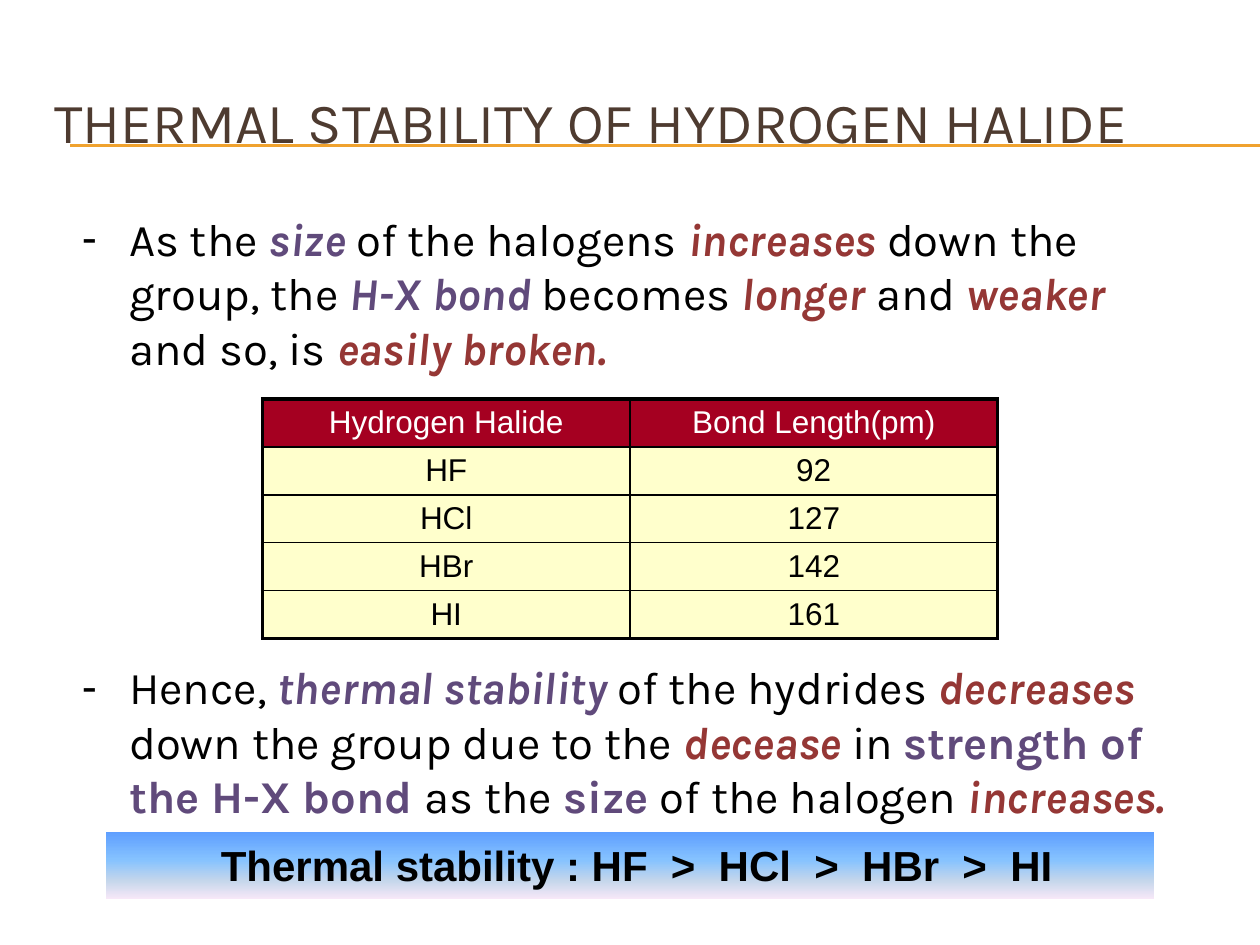
"""Build a slide on the thermal stability of the hydrogen halides."""
from lxml.etree import SubElement
from pptx import Presentation
from pptx.dml.color import RGBColor
from pptx.enum.shapes import MSO_CONNECTOR
from pptx.enum.text import MSO_ANCHOR, MSO_AUTO_SIZE, PP_ALIGN
from pptx.oxml import parse_xml
from pptx.oxml.ns import nsdecls, qn
from pptx.util import Pt

COLORS = {
    "title": "4E3B30", "rule": "F0A22E", "text": "000000", "light": "FFFFFF",
    "topic": "604A7B", "change": "953735", "header": "A50021", "cell": "FFFFCC",
}
BANNER_STOPS = [(0, "5E9EFF"), (40, "85C2FF"), (70, "C4D6EB"), (100, "FFEBFA")]
STYLES = {
    "plain": ("text", False, False),
    "topic": ("topic", True, True),
    "term": ("topic", True, False),
    "change": ("change", True, True),
}
POINTS = [
    (0, [("As the ", "plain"), ("size ", "topic"), ("of the halogens ", "plain"),
         ("increases ", "change"), ("down the group, the ", "plain"),
         ("H-X bond ", "topic"), ("becomes ", "plain"), ("longer", "change"),
         (" and ", "plain"), ("weaker ", "change"), ("and so, is ", "plain"),
         ("easily broken.", "change")]),
    (162.6, [("Hence, ", "plain"), ("thermal stability ", "topic"),
             ("of the hydrides ", "plain"), ("decreases ", "change"),
             ("down the group due to the ", "plain"), ("decease ", "change"),
             ("in ", "plain"), ("strength of the H-X bond ", "term"),
             ("as the ", "plain"), ("size", "term"), (" of the halogen ", "plain"),
             ("increases.", "change")]),
]
BOND_LENGTHS = [("Hydrogen Halide", "Bond Length(pm)"), ("HF", "92"), ("HCl", "127"),
                ("HBr", "142"), ("HI", "161")]


def rgb(name):
    return RGBColor.from_string(COLORS[name])


def place(sp, left, top, width, height):
    sp.left, sp.top, sp.width, sp.height = Pt(left), Pt(top), Pt(width), Pt(height)


def format_run(r, size, font, color, bold=False, italic=False):
    r.font.size, r.font.name = Pt(size), font
    r.font.bold, r.font.italic = bold, italic
    r.font.color.rgb = rgb(color)


def add_rule(s, y):
    line = s.shapes.add_connector(MSO_CONNECTOR.STRAIGHT, Pt(40.3), Pt(y), Pt(720), Pt(y))
    line.line.color.rgb, line.line.width = rgb("rule"), Pt(0.75)
    SubElement(line.element.spPr, qn("a:effectLst"))


def fill_title(sp):
    place(sp, 24, 36, 684, 66)
    tf = sp.text_frame
    tf.text = "THERMAL STABILITY OF HYDROGEN HALIDE"
    tf.auto_size, tf.vertical_anchor = MSO_AUTO_SIZE.NONE, MSO_ANCHOR.MIDDLE
    p = tf.paragraphs[0]
    p.alignment = PP_ALIGN.LEFT
    format_run(p.runs[0], 32.4, "Karla", "title")


def fill_body(sp):
    place(sp, 39.6, 77.8, 648, 445)
    tf = sp.text_frame
    tf.auto_size, tf.vertical_anchor = MSO_AUTO_SIZE.NONE, MSO_ANCHOR.TOP
    tf.margin_top = Pt(42.7)
    for i, (gap, parts) in enumerate(POINTS):
        p = tf.add_paragraph() if i else tf.paragraphs[0]
        pPr = p._p.get_or_add_pPr()
        pPr.set("marL", str(Pt(27)))
        pPr.set("indent", str(Pt(-27)))
        SubElement(pPr, qn("a:buChar"), char="-")
        p.space_before = Pt(gap)
        for text, style in parts:
            r = p.add_run()
            r.text = text
            format_run(r, 26, "Karla", *STYLES[style])


def add_grid(s, left, top, width, row_height, rows, cols):
    frame = s.shapes.add_table(rows, cols, Pt(left), Pt(top), Pt(width), Pt(row_height * rows))
    table = frame.table
    table.first_row = table.horz_banding = False
    for row in table.rows:
        row.height = Pt(row_height)
    return table


def set_cell(cell, text, size, color, bold=False):
    cell.text = text
    cell.vertical_anchor = MSO_ANCHOR.MIDDLE
    cell.margin_top = cell.margin_bottom = Pt(3)
    p = cell.text_frame.paragraphs[0]
    p.alignment = PP_ALIGN.CENTER
    format_run(p.runs[0], size, "Arial", color, bold)


def set_borders(cell, color, widths):
    tcPr = cell._tc.get_or_add_tcPr()
    for i, (side, width) in enumerate(zip("LRTB", widths)):
        tcPr.insert(i, parse_xml(
            f'<a:ln{side} {nsdecls("a")} w="{Pt(width)}"><a:solidFill>'
            f'<a:srgbClr val="{COLORS[color]}"/></a:solidFill></a:ln{side}>'))


def add_banner(s):
    cell = add_grid(s, 60, 475.2, 600, 40, 1, 1).cell(0, 0)
    set_cell(cell, "Thermal stability : HF  >  HCl  >  HBr  >  HI", 24, "text", True)
    cell.margin_left = Pt(15)
    stops = "".join(f'<a:gs pos="{pos * 1000}"><a:srgbClr val="{color}"/></a:gs>'
                    for pos, color in BANNER_STOPS)
    cell._tc.get_or_add_tcPr().append(parse_xml(
        f'<a:gradFill {nsdecls("a")}><a:gsLst>{stops}</a:gsLst>'
        '<a:lin ang="5400000" scaled="0"/></a:gradFill>'))
    set_borders(cell, "light", (1, 1, 1, 3))


def add_bond_table(s):
    last = len(BOND_LENGTHS) - 1
    table = add_grid(s, 150, 228, 420, 27.4, len(BOND_LENGTHS), 2)
    for i, values in enumerate(BOND_LENGTHS):
        for j, value in enumerate(values):
            cell = table.cell(i, j)
            set_cell(cell, value, 18, "text" if i else "light")
            cell.fill.solid()
            cell.fill.fore_color.rgb = rgb("cell" if i else "header")
            outer = (j == 0, j == 1, i == 0, i == last)
            set_borders(cell, "text", [2.25 if edge else 1 for edge in outer])


def main():
    prs = Presentation()
    prs.slide_width, prs.slide_height = Pt(720), Pt(540)
    s = prs.slides.add_slide(prs.slide_layouts[1])
    title, body = s.shapes.title, s.placeholders[1]
    tree = title.element.getparent()
    for y in (82.8, 83.5):
        add_rule(s, y)
    fill_body(body)
    tree.append(body.element)
    add_banner(s)
    add_bond_table(s)
    fill_title(title)
    tree.append(title.element)
    prs.save("out.pptx")


if __name__ == "__main__":
    main()
